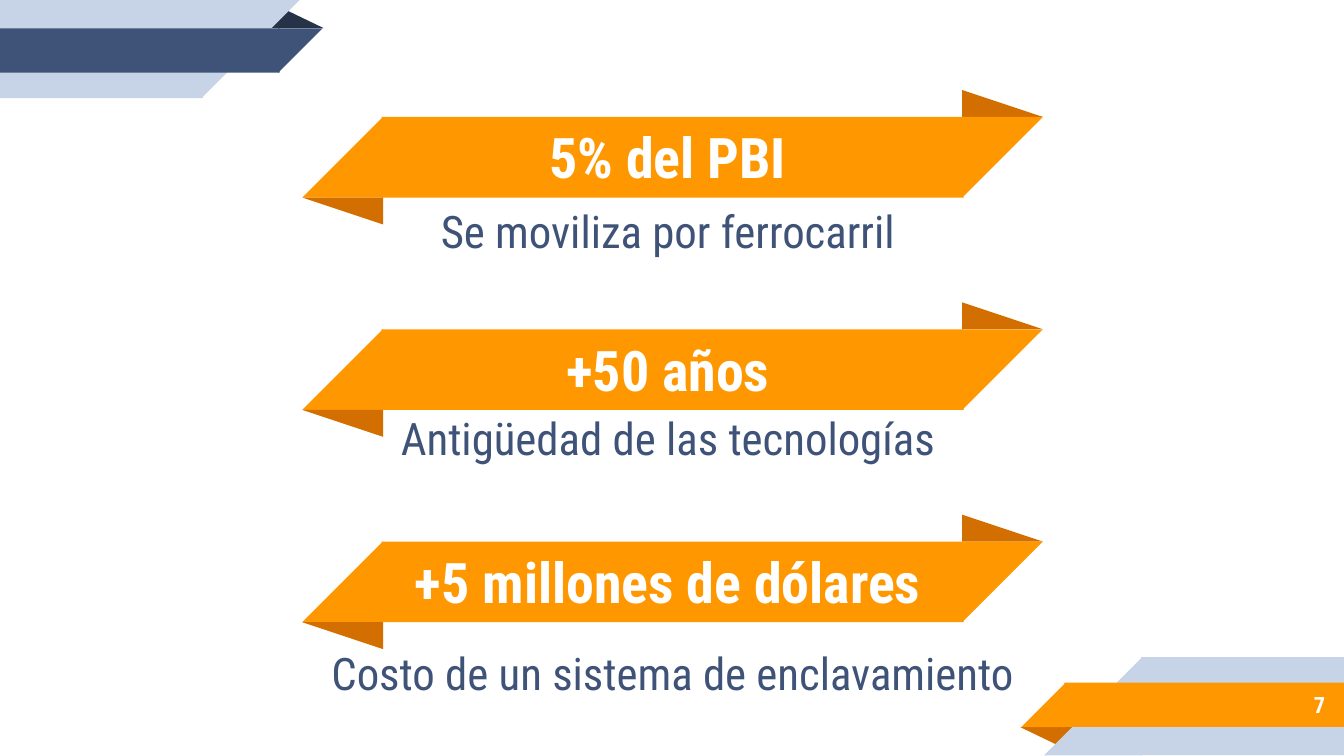
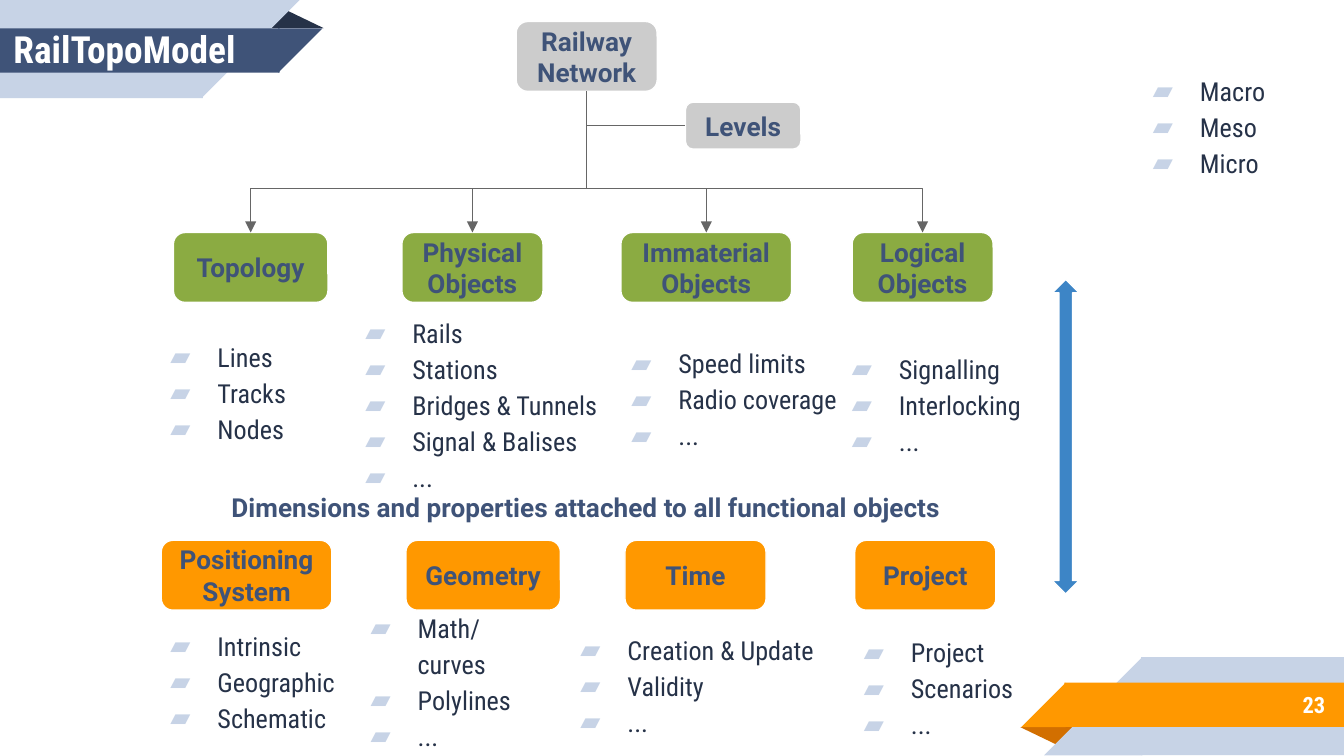
from typing import Any, NamedTuple

import pptx
import pptx.dml.color
import pptx.enum.shapes
import pptx.enum.text
import pptx.oxml
import pptx.oxml.ns
import pptx.util

EMU_PER_PX = 9144  # 100 px to the inch
SLIDE_WIDTH, SLIDE_HEIGHT = 1000, 562
MARGIN = 10
TITLE_ONLY = 5

RGB = pptx.dml.color.RGBColor
WHITE = RGB(0xFF, 0xFF, 0xFF)
NAVY = RGB(0x3F, 0x53, 0x78)
DARK_NAVY = RGB(0x26, 0x32, 0x48)
PALE_BLUE = RGB(0xC7, 0xD3, 0xE6)
ORANGE = RGB(0xFF, 0x98, 0x00)
DARK_ORANGE = RGB(0xD2, 0x6F, 0x00)
GREEN = RGB(0x8B, 0xAB, 0x42)
LIGHT_GREY = RGB(0xCC, 0xCC, 0xCC)
LINE_GREY = RGB(0x66, 0x66, 0x66)
ARROW_BLUE = RGB(0x3D, 0x85, 0xC6)

BODY_FONT = "Roboto Condensed"
DIAGRAM_FONT = "Roboto"

SHAPE = pptx.enum.shapes.MSO_SHAPE
ALIGN = pptx.enum.text.PP_ALIGN
ANCHOR = pptx.enum.text.MSO_ANCHOR


class Box(NamedTuple):
    left: int
    top: int
    width: int
    height: int

    def emu(self) -> tuple[int, ...]:
        return tuple(px(value) for value in self)


class Piece(NamedTuple):
    """One part of a folded band; turned means rotated by half a turn."""
    kind: Any
    box: Box
    color: RGB
    turned: bool = False
    flipped: bool = False
    apex: float | None = None


class Fact(NamedTuple):
    headline: str
    detail: str
    detail_box: Box


class Node(NamedTuple):
    label: str
    box: Box
    color: RGB


class BulletList(NamedTuple):
    box: Box
    items: str


FACTS = [
    Fact("5% del PBI", "Se moviliza por ferrocarril", Box(283, 146, 428, 51)),
    Fact("+50 años", "Antigüedad de las tecnologías", Box(283, 303, 428, 45)),
    Fact("+5 millones de dólares", "Costo de un sistema de enclavamiento",
         Box(233, 478, 535, 45)),
]
FIRST_RIBBON_TOP, RIBBON_PITCH = 87, 158

NETWORK = Node("Railway Network", Box(384, 16, 105, 52), LIGHT_GREY)
LEVELS = Node("Levels", Box(510, 76, 86, 35), LIGHT_GREY)
OBJECT_TOP, PROPERTY_TOP, NODE_HEIGHT = 173, 402, 52
OBJECTS = [
    Node(label, Box(left, OBJECT_TOP, width, NODE_HEIGHT), GREEN)
    for label, left, width in [
        ("Topology", 129, 115), ("Physical Objects", 299, 105),
        ("Immaterial Objects", 462, 127), ("Logical Objects", 634, 105)]
]
PROPERTIES = [
    Node(label, Box(left, PROPERTY_TOP, width, NODE_HEIGHT), ORANGE)
    for label, left, width in [
        ("Positioning System", 120, 127), ("Geometry", 302, 115),
        ("Time", 465, 105), ("Project", 636, 105)]
]
LIST_HEIGHT = 129
BULLET_LISTS = [
    BulletList(Box(left, top, width, LIST_HEIGHT), items)
    for left, top, width, items in [
        (833, 28, 167, "Macro\nMeso\nMicro"),
        (102, 226, 167, "Lines\nTracks\nNodes"),
        (247, 235, 217, "Rails\nStations\nBridges & Tunnels\nSignal & Balises\n..."),
        (445, 231, 200, "Speed limits\nRadio coverage\n..."),
        (609, 235, 167, "Signalling\nInterlocking\n..."),
        (102, 441, 167, "Intrinsic\nGeographic\nSchematic"),
        (251, 441, 167, "Math/\vcurves\nPolylines\n..."),
        (407, 444, 211, "Creation & Update\nValidity\n..."),
        (618, 446, 167, "Project\nScenarios\n...")]
]


def px(value: int) -> int:
    return pptx.util.Emu(value * EMU_PER_PX)


def add_bullet(paragraph) -> None:
    properties = paragraph._p.get_or_add_pPr()
    properties.set("marL", str(px(50)))
    properties.set("indent", str(px(-35)))
    namespace = pptx.oxml.ns.nsdecls("a")
    for xml in (
        f'<a:buClr {namespace}><a:srgbClr val="{PALE_BLUE}"/></a:buClr>',
        f'<a:buFont {namespace} typeface="{BODY_FONT}"/>',
        f'<a:buChar {namespace} char="▰"/>',
    ):
        properties.append(pptx.oxml.parse_xml(xml))


def write_text(shape, text: str, *, size: int, color: RGB, font: str = BODY_FONT,
               bold: bool = False, align=ALIGN.CENTER, anchor=ANCHOR.MIDDLE,
               bulleted: bool = False) -> None:
    """Fill a shape with one paragraph per line; a vertical tab breaks inside one."""
    frame = shape.text_frame
    frame.auto_size = pptx.enum.text.MSO_AUTO_SIZE.NONE
    frame.word_wrap = True
    frame.vertical_anchor = anchor
    frame.margin_left = frame.margin_right = px(MARGIN)
    frame.margin_top = frame.margin_bottom = px(MARGIN)
    for index, line in enumerate(text.split("\n")):
        paragraph = frame.add_paragraph() if index else frame.paragraphs[0]
        paragraph.alignment = align
        if bulleted:
            add_bullet(paragraph)
            paragraph.line_spacing = 1.15
        for part_index, part in enumerate(line.split("\v")):
            if part_index:
                paragraph.add_line_break()
            run = paragraph.add_run()
            run.text = part
            run.font.name = font
            run.font.size = pptx.util.Pt(size)
            run.font.bold = bold
            run.font.color.rgb = color


def add_text(slide, box: Box, text: str, **text_format) -> None:
    write_text(slide.shapes.add_textbox(*box.emu()), text, **text_format)


def place_title(slide, box: Box, text: str, **text_format) -> None:
    """Move the title placeholder into place, in front of what is drawn so far."""
    title = slide.shapes.title
    title.left, title.top, title.width, title.height = box.emu()
    slide.shapes.element.append(title.element)
    write_text(title, text, bold=True, color=WHITE, **text_format)


def add_filled(shapes, kind, box: Box, color: RGB, outline: RGB | None = None):
    shape = shapes.add_shape(kind, *box.emu())
    shape.shadow.inherit = False
    shape.fill.solid()
    shape.fill.fore_color.rgb = color
    if outline is None:
        shape.line.fill.background()
    else:
        shape.line.color.rgb = outline
        shape.line.width = pptx.util.Pt(0.75)
    return shape


def add_piece(shapes, piece: Piece):
    shape = add_filled(shapes, piece.kind, piece.box, piece.color)
    if piece.apex is not None:
        shape.adjustments[0] = piece.apex
    if piece.turned:
        shape.rotation = 180
    if piece.flipped:
        shape.element.spPr.xfrm.set("flipH", "1")
    return shape


def corner_pieces(band: RGB, fold: RGB) -> list[Piece]:
    """The folded band of the top left corner."""
    return [
        Piece(SHAPE.ISOSCELES_TRIANGLE, Box(198, 7, 43, 14), fold, apex=0.324),
        Piece(SHAPE.RECTANGLE, Box(0, 0, 151, 73), PALE_BLUE, True, True),
        Piece(SHAPE.RIGHT_TRIANGLE, Box(150, 0, 73, 73), PALE_BLUE, True, True),
        Piece(SHAPE.RECTANGLE, Box(0, 21, 208, 33), band, True, True),
        Piece(SHAPE.RIGHT_TRIANGLE, Box(207, 21, 33, 33), band, True, True),
    ]


def opposite(piece: Piece) -> Piece:
    """The same piece in the opposite corner of the slide."""
    left, top, width, height = piece.box
    box = Box(SLIDE_WIDTH - left - width, SLIDE_HEIGHT - top - height, width, height)
    return piece._replace(box=box, turned=not piece.turned)


def decorate_layout(slide) -> None:
    """Draw both corner bands and move them to the layout of the slide."""
    pieces = [opposite(piece) for piece in corner_pieces(ORANGE, DARK_ORANGE)]
    pieces += corner_pieces(NAVY, DARK_NAVY)
    for number, piece in enumerate(pieces, start=101):
        shape = add_piece(slide.shapes, piece)
        shape.element.nvSpPr.cNvPr.set("id", str(number))
        slide.slide_layout.shapes.element.append(shape.element)


def add_page_number(slide, number: int) -> None:
    add_text(slide, Box(833, 507, 163, 35), str(number), size=12, color=WHITE,
             bold=True, align=ALIGN.RIGHT)


def add_ribbon(slide, top: int) -> None:
    left, right, side, fold = 225, 716, 60, 20
    group = slide.shapes.add_group_shape()
    for piece in (
        Piece(SHAPE.ISOSCELES_TRIANGLE, Box(right, top - fold, side, fold),
              DARK_ORANGE, apex=0),
        Piece(SHAPE.RECTANGLE, Box(284, top, 433, side), ORANGE, True, True),
        Piece(SHAPE.RIGHT_TRIANGLE, Box(right, top, side, side), ORANGE, True, True),
        Piece(SHAPE.RIGHT_TRIANGLE, Box(left, top, side, side), ORANGE, False, True),
        Piece(SHAPE.ISOSCELES_TRIANGLE, Box(left, top + side, side, fold),
              DARK_ORANGE, True, apex=0),
    ):
        add_piece(group.shapes, piece)


def add_node(slide, node: Node):
    shape = add_filled(slide.shapes, SHAPE.ROUNDED_RECTANGLE, node.box, node.color, WHITE)
    write_text(shape, node.label, size=14, color=NAVY, font=DIAGRAM_FONT, bold=True)
    return shape


def add_branch(slide, parent, child, *, to_side: bool = False) -> None:
    """Link a parent's bottom to a child's top by an arrow, or to its left side by a line."""
    connector = slide.shapes.add_connector(
        pptx.enum.shapes.MSO_CONNECTOR.ELBOW, 0, 0, 0, 0)
    connector.begin_connect(parent, 2)
    connector.end_connect(child, 1 if to_side else 0)
    begin_x, begin_y = parent.left + parent.width // 2, parent.top + parent.height
    end_x = child.left if to_side else child.left + child.width // 2
    end_y = child.top + child.height // 2 if to_side else child.top
    rightward = end_x > begin_x

    # The elbow leaves downwards, so its frame is turned by a quarter.
    connector.width, connector.height = end_y - begin_y, abs(end_x - begin_x)
    connector.left = (begin_x + end_x - connector.width) // 2
    connector.top = (begin_y + end_y - connector.height) // 2
    connector.rotation = 270 if rightward else 90
    properties = connector.element.spPr
    properties.xfrm.set("flipH", "1" if rightward else "0")
    properties.xfrm.set("flipV", "0")

    connector.line.color.rgb = LINE_GREY
    connector.line.width = pptx.util.Pt(0.75)
    namespace = pptx.oxml.ns.nsdecls("a")
    geometry = properties.find(pptx.oxml.ns.qn("a:prstGeom"))
    if to_side:
        geometry.set("prst", "bentConnector2")
    else:
        guides = geometry.find(pptx.oxml.ns.qn("a:avLst"))
        guides.append(pptx.oxml.parse_xml(
            f'<a:gd {namespace} name="adj1" fmla="val 69000"/>'))
        connector.line._get_or_add_ln().append(
            pptx.oxml.parse_xml(f'<a:tailEnd {namespace} type="triangle"/>'))
    properties.append(pptx.oxml.parse_xml(f"<a:effectLst {namespace}/>"))


def build_facts(slide) -> None:
    add_page_number(slide, 7)
    for index, fact in enumerate(FACTS):
        top = FIRST_RIBBON_TOP + index * RIBBON_PITCH
        add_ribbon(slide, top)
        headline_box = Box(283, top, 428, 59)
        if index == 0:
            place_title(slide, headline_box, fact.headline, size=30)
        else:
            add_text(slide, headline_box, fact.headline, size=30, color=WHITE, bold=True)
        add_text(slide, fact.detail_box, fact.detail, size=24, color=NAVY)


def build_topology(slide) -> None:
    add_page_number(slide, 23)
    place_title(slide, Box(0, 0, 205, 72), "RailTopoModel", size=20, align=ALIGN.LEFT)
    for bullet_list in BULLET_LISTS:
        add_text(slide, bullet_list.box, bullet_list.items, size=14, color=DARK_NAVY,
                 align=ALIGN.LEFT, bulleted=True)
    network = add_node(slide, NETWORK)
    levels = add_node(slide, LEVELS)
    for node in OBJECTS:
        add_branch(slide, network, add_node(slide, node))
    add_branch(slide, network, levels, to_side=True)
    for node in PROPERTIES:
        add_node(slide, node)
    add_filled(slide.shapes, SHAPE.UP_DOWN_ARROW, Box(783, 208, 20, 234), ARROW_BLUE, WHITE)
    add_text(slide, Box(32, 356, 808, 44),
             "Dimensions and properties attached to all functional objects",
             size=14, color=NAVY, font=DIAGRAM_FONT, bold=True, anchor=ANCHOR.TOP)


def main() -> None:
    presentation = pptx.Presentation()
    presentation.slide_width = px(SLIDE_WIDTH)
    presentation.slide_height = px(SLIDE_WIDTH) * 9 // 16
    layout = presentation.slide_layouts[TITLE_ONLY]
    facts = presentation.slides.add_slide(layout)
    decorate_layout(facts)
    build_facts(facts)
    build_topology(presentation.slides.add_slide(layout))
    presentation.save("out.pptx")


if __name__ == "__main__":
    main()
